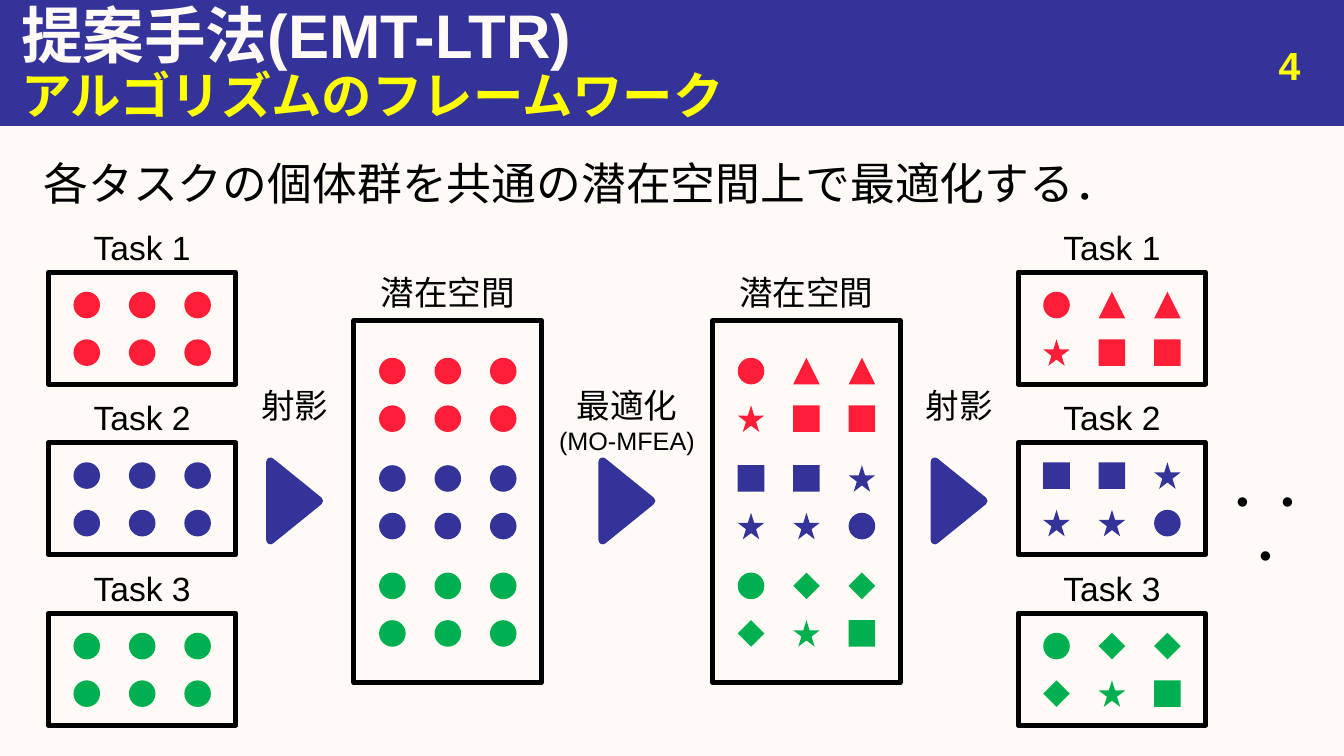
from pptx import Presentation
from pptx.dml.color import RGBColor
from pptx.enum.shapes import MSO_SHAPE
from pptx.enum.text import MSO_ANCHOR, PP_ALIGN
from pptx.util import Pt

COLORS = {
    "navy": "333399", "cream": "FFFAF5", "yellow": "FFFF00",
    "black": "000000", "red": "FF1D38", "green": "00B050",
}
MARKS = {
    "o": MSO_SHAPE.OVAL, "t": MSO_SHAPE.ISOSCELES_TRIANGLE,
    "s": MSO_SHAPE.STAR_5_POINT, "r": MSO_SHAPE.RECTANGLE,
    "d": MSO_SHAPE.DIAMOND,
}
# Each task: colour, then its marks by row before and after the search
TASKS = ["red", "navy", "green"]
START = [["ooo", "ooo"]] * 3
FINAL = [["ott", "srr"], ["rrs", "sso"], ["odd", "dsr"]]


def rgb(name):
    return RGBColor.from_string(COLORS[name])


def shape(slide, kind, box, fill=None, line=None, width=1):
    item = slide.shapes.add_shape(kind, *map(Pt, box))
    item.shadow.inherit = False
    if fill:
        item.fill.solid()
        item.fill.fore_color.rgb = rgb(fill)
    else:
        item.fill.background()
    if line:
        item.line.color.rgb = rgb(line)
        item.line.width = Pt(width)
    else:
        item.line.fill.background()
    return item


def text(slide, box, words, size, color="black", bold=False,
         align=PP_ALIGN.CENTER, anchor=MSO_ANCHOR.TOP):
    frame = slide.shapes.add_textbox(*map(Pt, box)).text_frame
    frame.word_wrap = True
    frame.vertical_anchor = anchor
    para = frame.paragraphs[0]
    para.text = words
    para.alignment = align
    font = para.font
    font.name, font.size, font.bold = "Arial", Pt(size), bold
    font.color.rgb = rgb(color)
    return para


def header(slide, box):
    x, y, w, h = box
    shape(slide, MSO_SHAPE.RECTANGLE, box, "navy", "navy", 0.75)
    text(slide, (x + 8, y, w - 8, 48), "提案手法(EMT-LTR)", 44, "cream",
         True, PP_ALIGN.LEFT, MSO_ANCHOR.MIDDLE)
    text(slide, (x + 8, y + 44.8, w - 8, h - 44.8),
         "アルゴリズムのフレームワーク", 36, "yellow", True,
         PP_ALIGN.LEFT, MSO_ANCHOR.MIDDLE)
    text(slide, (x + w - 248, y + 26, 224, 37.4), "4", 28, "yellow",
         True, PP_ALIGN.RIGHT)


def marks(slide, x, y, rows, color):
    for i, row in enumerate(rows):
        for j, key in enumerate(row):
            shape(slide, MARKS[key], (x + 39.6 * j, y + 34 * i, 19, 19), color)


def panel(slide, box, title, rise):
    x, y, w, h = box
    shape(slide, MSO_SHAPE.RECTANGLE, box, line="black", width=3.5)
    text(slide, (x - 5, y - rise, w + 10, 36), title, 24)


def tasks(slide, box, sets):
    x, y, w, h = box
    for i, (color, rows) in enumerate(zip(TASKS, sets)):
        top = y + 121.8 * i
        panel(slide, (x, top, w, h), f"Task {i + 1}", 36)
        marks(slide, x + 18, top + 14, rows, color)


def latent(slide, box, sets):
    x, y, w, h = box
    panel(slide, box, "潜在空間", 38)
    for i, (color, rows) in enumerate(zip(TASKS, sets)):
        marks(slide, x + 18, y + 26.6 + 76.7 * i, rows, color)


def arrow(slide, box, label, note=None):
    x, y, w, h = box
    mid = x + w / 2
    # Turned a quarter about its centre, so the frame is wide and low
    head = shape(slide, MSO_SHAPE.ISOSCELES_TRIANGLE,
                 (mid - 28, y + 69.1, 56, 34.6), "navy", "navy", 6)
    head.rotation = 90
    para = text(slide, (x, y, w, h), label, 24)
    if note:
        para.add_line_break()
        run = para.add_run()
        run.text = note
        run.font.size = Pt(18)


def main():
    deck = Presentation()
    deck.slide_width, deck.slide_height = Pt(960), Pt(540)
    slide = deck.slides.add_slide(deck.slide_layouts[6])
    slide.background.fill.solid()
    slide.background.fill.fore_color.rgb = rgb("cream")

    # Header and lead sentence
    header(slide, (0, 0, 960, 90))
    text(slide, (24, 108, 912, 408),
         "各タスクの個体群を共通の潜在空間上で最適化する．", 32,
         align=PP_ALIGN.JUSTIFY)

    # Flow from tasks through the latent space and back
    tasks(slide, (34.5, 194.4, 134, 80), START)
    arrow(slide, (169.8, 271.4, 81.4, 36), "射影")
    latent(slide, (252.8, 229, 134, 258.5), START)
    arrow(slide, (388, 271.4, 119.6, 58.3), "最適化", "(MO-MFEA)")
    latent(slide, (509, 229, 134, 258.5), FINAL)
    arrow(slide, (644.4, 271.4, 81.4, 36), "射影")
    tasks(slide, (727.2, 194.4, 134, 80), FINAL)
    text(slide, (863.3, 335.5, 81.4, 46), "・・・", 32)

    deck.save("out.pptx")


if __name__ == "__main__":
    main()
